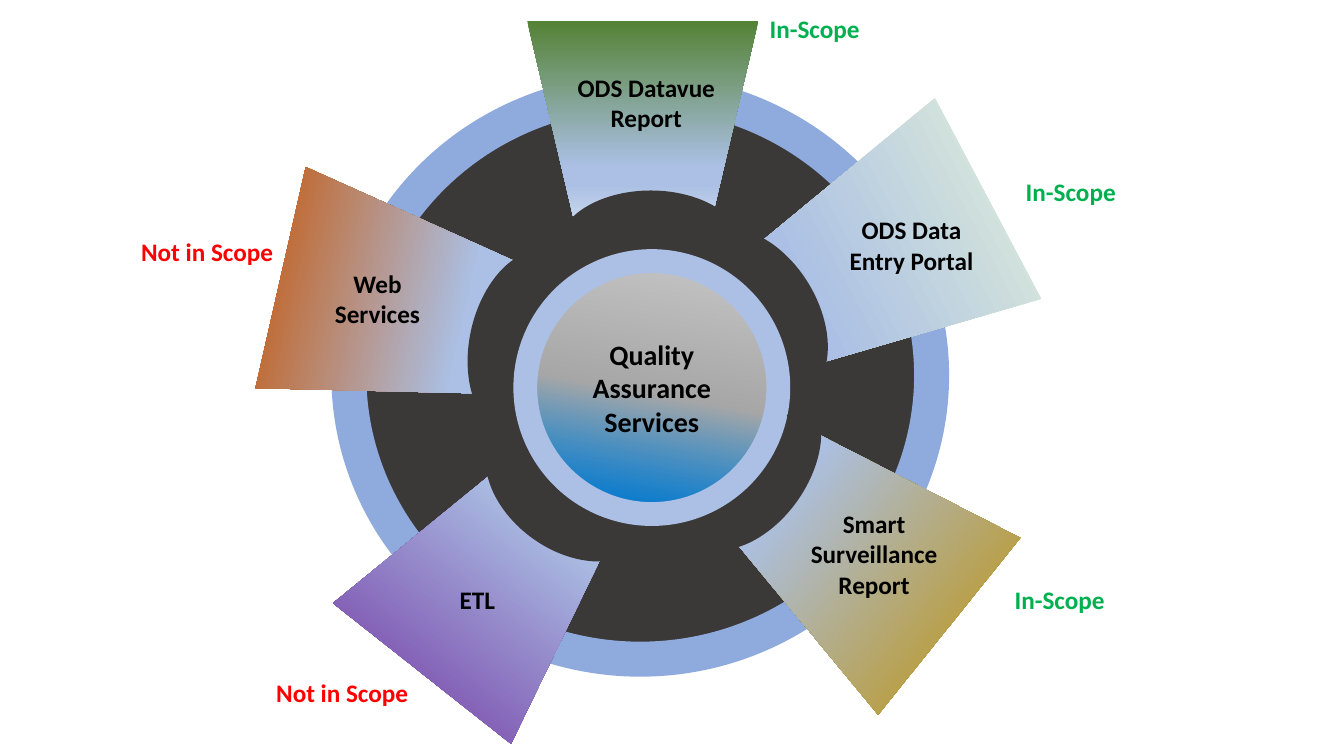
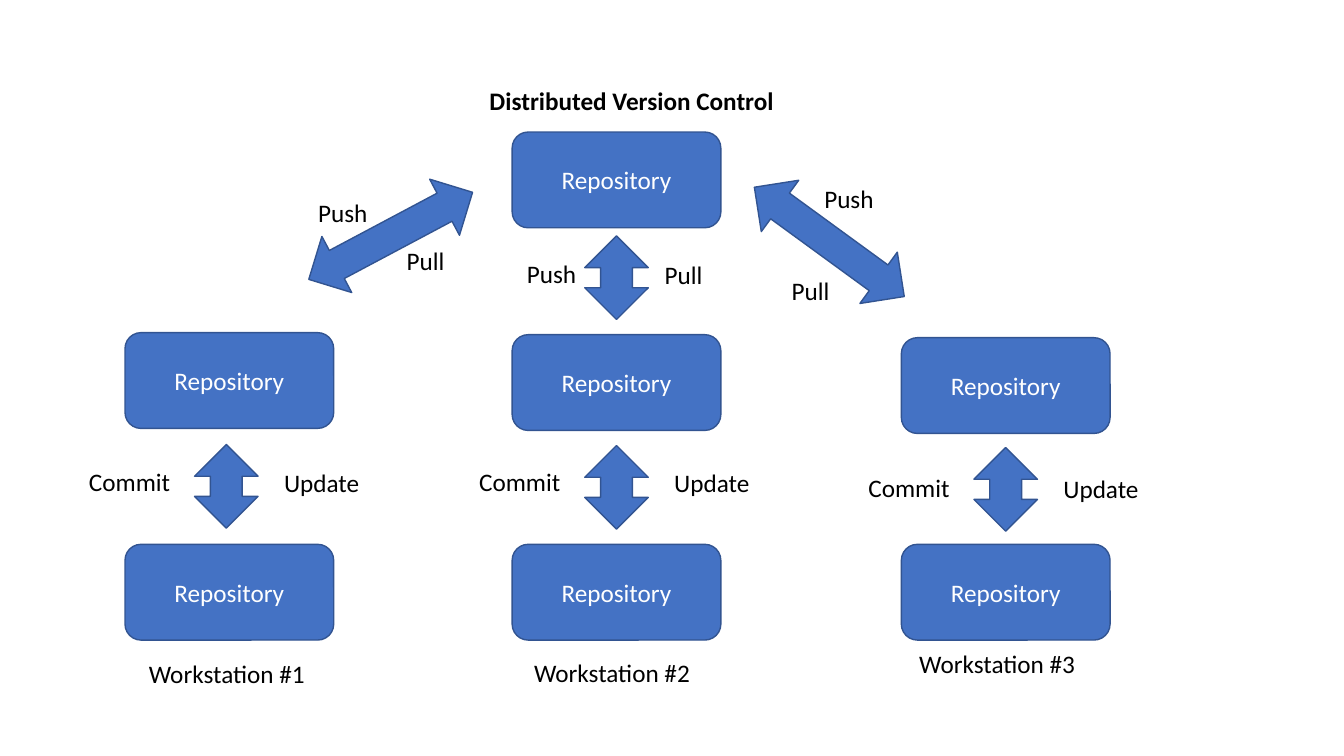
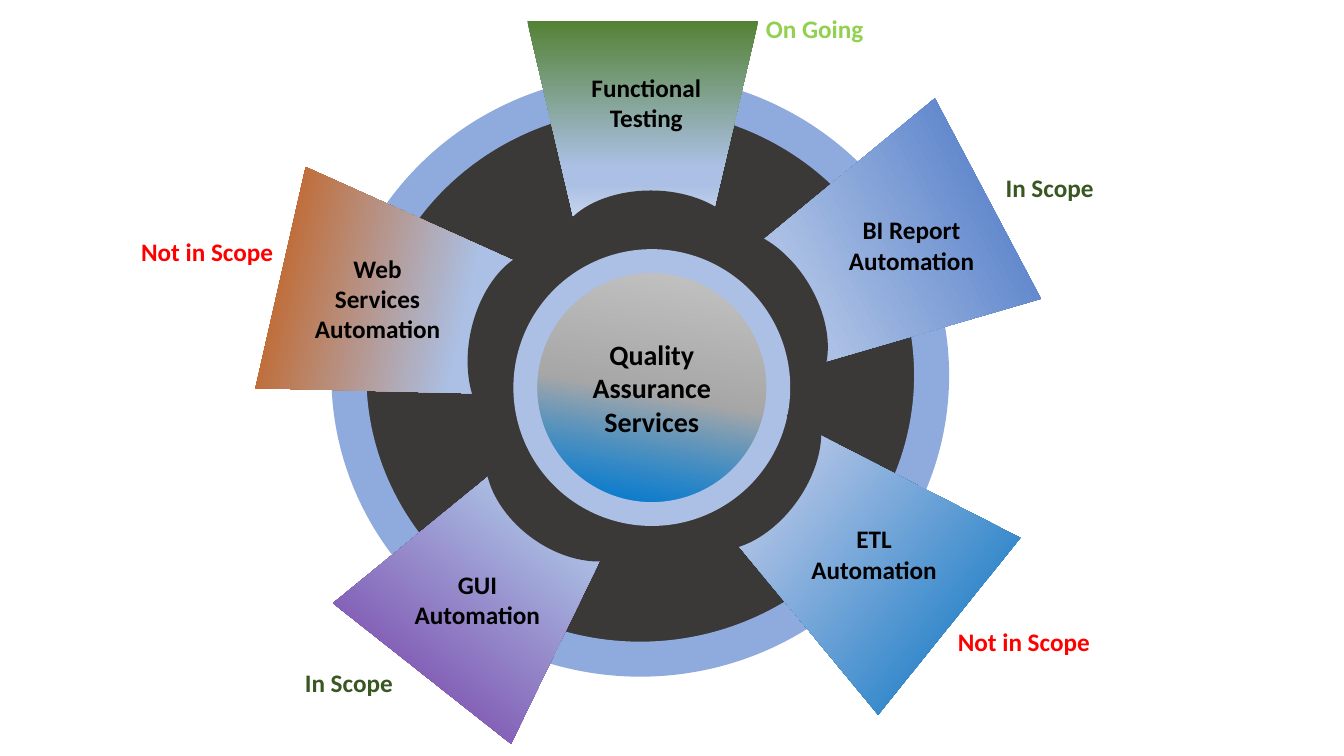
from pptx import Presentation
from pptx.dml.color import RGBColor
from pptx.enum.shapes import MSO_SHAPE
from pptx.enum.text import MSO_ANCHOR, MSO_AUTO_SIZE, PP_ALIGN
from pptx.oxml import parse_xml
from pptx.oxml.ns import nsdecls, qn
from pptx.util import Pt

PX = 9144  # 100 px to the inch
SLIDE_WIDTH, SLIDE_HEIGHT = 1333, 750
TITLE_ONLY, BLANK = 5, 6
FONT = "Calibri"

ELLIPSE = MSO_SHAPE.OVAL
WEDGE = MSO_SHAPE.FLOWCHART_MANUAL_OPERATION
ARC = MSO_SHAPE.BLOCK_ARC
BOX = MSO_SHAPE.ROUNDED_RECTANGLE
ARROW = MSO_SHAPE.UP_DOWN_ARROW
MIDDLE = MSO_ANCHOR.MIDDLE
CENTER = PP_ALIGN.CENTER
NO_AUTOFIT = MSO_AUTO_SIZE.NONE

BLACK = RGBColor(0x00, 0x00, 0x00)
WHITE = RGBColor(0xFF, 0xFF, 0xFF)
CHARCOAL = RGBColor(0x3B, 0x38, 0x38)
RING_BLUE = RGBColor(0x8F, 0xAA, 0xDC)
PALE_BLUE = RGBColor(0xAB, 0xC0, 0xE4)
ICE_BLUE = RGBColor(0xC7, 0xD5, 0xED)
BLUE = RGBColor(0x44, 0x72, 0xC4)
DARK_BLUE = RGBColor(0x32, 0x54, 0x91)
SKY_BLUE = RGBColor(0x00, 0x93, 0xFC)
STRONG_BLUE = RGBColor(0x00, 0x70, 0xC0)
GREY = RGBColor(0xA8, 0xA8, 0xA8)
LIGHT_GREY = RGBColor(0xC9, 0xC9, 0xC9)
GREEN = RGBColor(0x54, 0x82, 0x35)
PALE_GREEN = RGBColor(0xE2, 0xF0, 0xD9)
SCOPE_GREEN = RGBColor(0x00, 0xB0, 0x50)
DARK_GREEN = RGBColor(0x38, 0x57, 0x23)
LIME = RGBColor(0x92, 0xD0, 0x50)
GOLD = RGBColor(0xBF, 0x90, 0x00)
ORANGE = RGBColor(0xC5, 0x5A, 0x11)
PURPLE = RGBColor(0x70, 0x30, 0xA0)
RED = RGBColor(0xFF, 0x00, 0x00)

# Wheel: frames are left, top, width, height
HUB_TEXT = "Quality Assurance Services"
HUB_STOPS = [(11, SKY_BLUE, 76), (48, GREY, 100), (100, LIGHT_GREY, 100)]
# wedge frame, wedge turn, arc frame, arc turn, text frame
SPOKES = {
    "top": ((523, 21, 229, 195), 0, (553, 189, 185, 116), 0, (560, 59, 162, 86)),
    "lower right": ((744, 444, 225, 218), 128.8, (650, 404, 185, 118), 125.4,
                    (792, 493, 150, 113)),
    "left": ((274, 189, 225, 222), 282.8, (431, 282, 185, 115), 282.8,
             (293, 240, 163, 112)),
    "lower left": ((369, 487, 225, 203), 218.3, (473, 418, 185, 128), 215.8,
                   (395, 543, 157, 104)),
    "upper right": ((771, 139, 225, 218), 62.1, (659, 253, 185, 118), 58.8,
                    (823, 200, 162, 86)),
}

# spoke: colour, text lines, status, status colour, status left and top
SCOPE_WHEEL = {
    "top": (GREEN, ["ODS Datavue Report"], "In-Scope", SCOPE_GREEN, 716, 3),
    "lower right": (GOLD, ["Smart Surveillance Report"], "In-Scope", SCOPE_GREEN, 959, 570),
    "left": (ORANGE, ["Web", "Services"], "Not in Scope", RED, 99, 224),
    "lower left": (PURPLE, ["ETL"], "Not in Scope", RED, 233, 662),
    "upper right": (PALE_GREEN, ["ODS Data Entry Portal"], "In-Scope", SCOPE_GREEN, 970, 165),
}
AUTOMATION_WHEEL = {
    "top": (GREEN, ["Functional Testing"], "On Going", LIME, 716, 3),
    "lower right": (STRONG_BLUE, ["ETL Automation"], "Not in Scope", RED, 909, 611),
    "left": (ORANGE, ["Web", "Services", "Automation"], "Not in Scope", RED, 99, 224),
    "lower left": (PURPLE, ["GUI Automation"], "In Scope", DARK_GREEN, 254, 652),
    "upper right": (BLUE, ["BI Report Automation"], "In Scope", DARK_GREEN, 949, 161),
}

# Version control
VERSION_TITLE = "Distributed Version Control"
BOX_SIZE = (207, 95)
ARROW_SIZE = (63, 83)
SERVER_BOX = (508, 131)
LOCAL_TOP = 540
# box left, box top, arrow left, arrow top, label top, caption, caption left and top
WORKSTATIONS = [
    (124, 330, 193, 441, 461, "Workstation #1", 117, 651),
    (508, 332, 580, 442, 461, "Workstation #2", 499, 650),
    (894, 335, 966, 444, 467, "Workstation #3", 881, 641),
]
# arrow frame, turn, left and top of Push, left and top of Pull
SERVER_LINKS = [
    ((356, 142, 63, 184), 62, (291, 194), (373, 241)),
    ((580, 234, 63, 83), 0, (498, 254), (629, 255)),
    ((791, 148, 63, 184), 126.1, (793, 180), (755, 271)),
]


def emu(frame):
    return [value * PX for value in frame]


def write(shape, lines, size=18, color=BLACK, bold=False):
    frame = shape.text_frame
    frame.word_wrap = True
    frame.auto_size = NO_AUTOFIT
    frame.vertical_anchor = MIDDLE
    for index, line in enumerate(lines):
        paragraph = frame.add_paragraph() if index else frame.paragraphs[0]
        paragraph.alignment = CENTER
        run = paragraph.add_run()
        run.text = line
        font = run.font
        font.name, font.size, font.bold = FONT, Pt(size), bold
        font.color.rgb = color


def add_text(slide, frame, lines, color=BLACK, bold=False):
    write(slide.shapes.add_textbox(*emu(frame)), lines, color=color, bold=bold)


def add_figure(shapes, kind, frame, fill=None, line=None, line_width=1, turn=0):
    shape = shapes.add_shape(kind, *emu(frame))
    shape.shadow.inherit = False
    shape.rotation = turn
    if fill is None:
        shape.fill.background()
    else:
        shape.fill.solid()
        shape.fill.fore_color.rgb = fill
    if line is None:
        shape.line.fill.background()
    else:
        shape.line.color.rgb = line
        shape.line.width = Pt(line_width)
    return shape


def set_gradient(shape, stops, angle):
    """Swap the empty fill for a linear gradient of (percent, colour, opacity)."""
    stop_xml = "".join(
        f'<a:gs pos="{position * 1000}"><a:srgbClr val="{color}">'
        f'<a:alpha val="{opacity * 1000}"/></a:srgbClr></a:gs>'
        for position, color, opacity in stops)
    gradient = parse_xml(
        f'<a:gradFill {nsdecls("a")} rotWithShape="1"><a:gsLst>{stop_xml}</a:gsLst>'
        f'<a:lin ang="{angle * 60000}" scaled="0"/></a:gradFill>')
    properties = shape._element.spPr
    properties.replace(properties.find(qn("a:noFill")), gradient)


def build_wheel(presentation, spokes):
    slide = presentation.slides.add_slide(presentation.slide_layouts[BLANK])

    # Disc and hub
    add_figure(slide.shapes, ELLIPSE, (346, 91, 578, 563), CHARCOAL, RING_BLUE, 25)
    hub = add_figure(slide.shapes, ELLIPSE, (521, 259, 251, 251), None, PALE_BLUE, 17)
    set_gradient(hub, HUB_STOPS, 280)
    write(hub, [HUB_TEXT], size=20, bold=True)

    # Spokes with their names and status
    for place, (color, lines, status, status_color, left, top) in spokes.items():
        wedge_frame, wedge_turn, arc_frame, arc_turn, text_frame = SPOKES[place]
        group = slide.shapes.add_group_shape()
        wedge = add_figure(group.shapes, WEDGE, wedge_frame, turn=wedge_turn)
        set_gradient(wedge, [(0, color, 100), (74, PALE_BLUE, 100),
                             (83, PALE_BLUE, 100), (100, ICE_BLUE, 100)], 90)
        arc = add_figure(group.shapes, ARC, arc_frame, CHARCOAL, turn=arc_turn)
        for index, value in enumerate((108.86, 0, 0.25)):
            arc.adjustments[index] = value
        add_text(slide, text_frame, lines, bold=True)
        width = 213 if status == "Not in Scope" else 184
        add_text(slide, (left, top, width, 50), [status], status_color, True)


def add_repository(slide, left, top):
    box = add_figure(slide.shapes, BOX, (left, top, *BOX_SIZE), BLUE, DARK_BLUE)
    write(box, ["Repository"], color=WHITE)


def build_version_control(presentation):
    slide = presentation.slides.add_slide(presentation.slide_layouts[TITLE_ONLY])
    title = slide.shapes.title
    title.left, title.top, title.width, title.height = emu((227, 75, 799, 50))
    write(title, [VERSION_TITLE], bold=True)

    # Server and its links
    add_repository(slide, *SERVER_BOX)
    for frame, turn, push, pull in SERVER_LINKS:
        add_figure(slide.shapes, ARROW, frame, BLUE, DARK_BLUE, turn=turn)
        for word, place in (("Push", push), ("Pull", pull)):
            add_text(slide, (*place, 98, 34), [word])

    # Workstation columns
    for (box_left, box_top, arrow_left, arrow_top, label_top,
         caption, caption_left, caption_top) in WORKSTATIONS:
        add_repository(slide, box_left, box_top)
        add_repository(slide, box_left, LOCAL_TOP)
        add_figure(slide.shapes, ARROW, (arrow_left, arrow_top, *ARROW_SIZE), BLUE, DARK_BLUE)
        add_text(slide, (arrow_left - 127, label_top, 125, 34), ["Commit"])
        add_text(slide, (arrow_left + 77, label_top + 1, 98, 34), ["Update"])
        add_text(slide, (caption_left, caption_top, 216, 34), [caption])


def main():
    presentation = Presentation()
    presentation.slide_width, presentation.slide_height = emu((SLIDE_WIDTH, SLIDE_HEIGHT))
    build_wheel(presentation, SCOPE_WHEEL)
    build_version_control(presentation)
    build_wheel(presentation, AUTOMATION_WHEEL)
    presentation.save("out.pptx")


if __name__ == "__main__":
    main()
